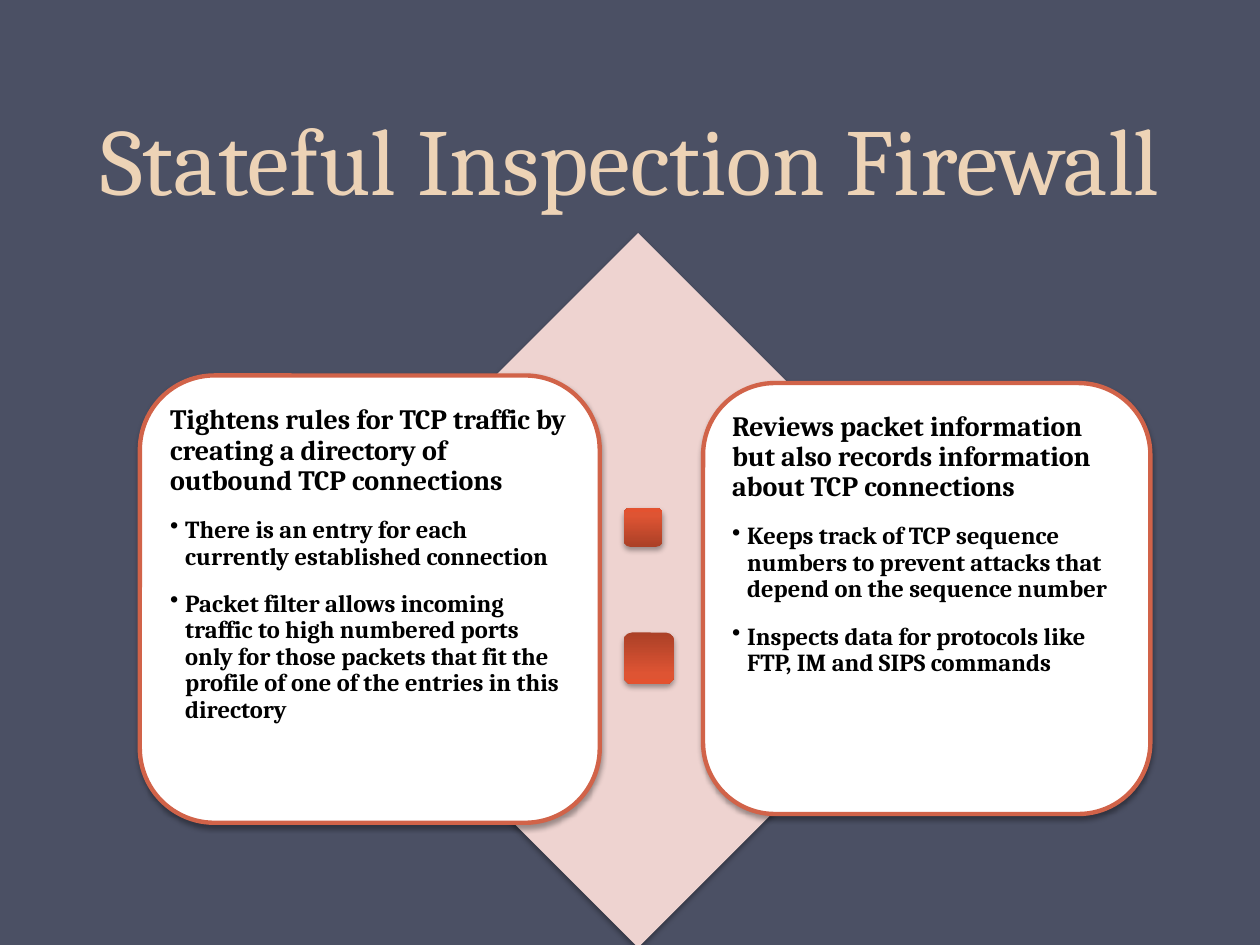
from dataclasses import dataclass

from lxml.etree import SubElement
from pptx import Presentation
from pptx.dml.color import RGBColor
from pptx.enum.shapes import MSO_SHAPE as Shape
from pptx.enum.text import MSO_ANCHOR as Anchor, PP_ALIGN as Align
from pptx.oxml.ns import qn
from pptx.util import Inches, Pt


@dataclass(frozen=True)
class Theme:
    """Colours, type sizes and the font of the slide."""
    background: str = "4B5064"
    title: str = "EDD3B6"
    diamond: str = "EED3D0"
    card: str = "FFFFFF"
    border: str = "D16349"
    text: str = "000000"
    gradient: tuple = ((0, "AB4027"), (80, "DE5433"), (100, "E35230"))
    font: str = "Cambria"
    title_size: int = 54
    heading_size: int = 16
    bullet_size: int = 14


THEME = Theme()
COLUMNS, ROWS = 100, 75
CELL = Inches(0.1)
CARD_INSET = 1.7
CARDS = (
    ((11.1, 29.8, 36.5, 35.5), 0.07,
     "Tightens rules for TCP traffic by creating a directory of outbound TCP connections",
     ("There is an entry for each currently established connection",
      "Packet filter allows incoming traffic to high numbered ports only for those "
      "packets that fit the profile of one of the entries in this directory")),
    ((55.8, 30.4, 35.5, 34.2), 0.06,
     "Reviews packet information but also records information about TCP connections",
     ("Keeps track of TCP sequence numbers to prevent attacks that depend on the "
      "sequence number",
      "Inspects data for protocols like FTP, IM and SIPS commands")),
)


def place(box):
    """Turn grid columns and rows into slide lengths."""
    return [round(value * CELL) for value in box]


def add_shadow(shape):
    """Give a shape the soft shadow that falls straight down."""
    effects = SubElement(shape._element.spPr, qn("a:effectLst"))
    shadow = SubElement(effects, qn("a:outerShdw"), blurRad=str(Pt(3.1)),
                        dist=str(Pt(1.8)), dir="5400000", rotWithShape="0")
    colour = SubElement(shadow, qn("a:srgbClr"), val="000000")
    SubElement(colour, qn("a:alpha"), val="35000")


def add_block(slide, kind, box, fill, border=None):
    """Add a shadowed preset shape with a plain fill."""
    shape = slide.shapes.add_shape(kind, *place(box))
    shape.fill.solid()
    shape.fill.fore_color.rgb = RGBColor.from_string(fill)
    if border:
        shape.line.color.rgb = RGBColor.from_string(border)
        shape.line.width = Pt(2.5)
    else:
        shape.line.fill.background()
    add_shadow(shape)
    return shape


def add_marker(slide, box, flipped=False):
    """Add a small rounded square with the theme gradient."""
    shape = add_block(slide, Shape.ROUNDED_RECTANGLE, box, THEME.border)
    properties = shape._element.spPr
    solid = properties.find(qn("a:solidFill"))
    gradient = properties.makeelement(qn("a:gradFill"), {"rotWithShape": "1"})
    stops = SubElement(gradient, qn("a:gsLst"))
    for position, colour in THEME.gradient:
        stop = SubElement(stops, qn("a:gs"), pos=str(position * 1000))
        SubElement(stop, qn("a:srgbClr"), val=colour)
    SubElement(gradient, qn("a:lin"), ang="16200000", scaled="0")
    properties.replace(solid, gradient)
    if flipped:
        properties.find(qn("a:xfrm")).set("flipV", "1")


def add_text_frame(slide, box, anchor=Anchor.TOP, inset=None):
    """Add a wrapping text box and return its text frame."""
    frame = slide.shapes.add_textbox(*place(box)).text_frame
    frame.word_wrap = True
    frame.vertical_anchor = anchor
    if inset is not None:
        frame.margin_left = frame.margin_right = Inches(inset)
        frame.margin_top = frame.margin_bottom = Inches(inset)
    return frame


def write(paragraph, text, size, colour=THEME.text, bold=True, align=Align.LEFT,
          spacing=0.9, after=12, bullet=False):
    """Fill a paragraph with formatted text."""
    paragraph.alignment = align
    paragraph.line_spacing = spacing
    paragraph.space_after = Pt(after)
    if bullet:
        paragraph.level = 1
        properties = paragraph._p.get_or_add_pPr()
        properties.set("marL", str(Inches(0.12)))
        properties.set("indent", str(-Inches(0.12)))
        SubElement(properties, qn("a:buChar"), char="•")
    run = paragraph.add_run()
    run.text = text
    run.font.name = THEME.font
    run.font.size = Pt(size)
    run.font.bold = bold
    run.font.color.rgb = RGBColor.from_string(colour)


def add_card(slide, box, inset, heading, bullets):
    """Add a bordered card with a heading and bullets."""
    add_block(slide, Shape.ROUNDED_RECTANGLE, box, THEME.card, THEME.border)
    left, top, width, height = box
    inner = (left + CARD_INSET, top + CARD_INSET,
             width - 2 * CARD_INSET, height - 2 * CARD_INSET)
    frame = add_text_frame(slide, inner, inset=inset)
    write(frame.paragraphs[0], heading, THEME.heading_size)
    for text in bullets:
        write(frame.add_paragraph(), text, THEME.bullet_size, bullet=True)


def main():
    """Build the slide and save it."""
    presentation = Presentation()
    presentation.slide_width = COLUMNS * CELL
    presentation.slide_height = ROWS * CELL
    slide = presentation.slides.add_slide(presentation.slide_layouts[6])
    slide.background.fill.solid()
    slide.background.fill.fore_color.rgb = RGBColor.from_string(THEME.background)

    title = add_text_frame(slide, (5, 0, 90, 17.5), anchor=Anchor.BOTTOM)
    write(title.paragraphs[0], "Stateful Inspection Firewall", THEME.title_size,
          colour=THEME.title, bold=False, align=Align.CENTER, spacing=Pt(58), after=0)
    add_block(slide, Shape.DIAMOND, (22.3, 18.5, 56.7, 56.7), THEME.diamond)
    for card in CARDS:
        add_card(slide, *card)
    add_marker(slide, (49.5, 40.3, 3.1, 3.1))
    add_marker(slide, (49.5, 50.2, 4, 4.1), flipped=True)
    presentation.save("out.pptx")


if __name__ == "__main__":
    main()
